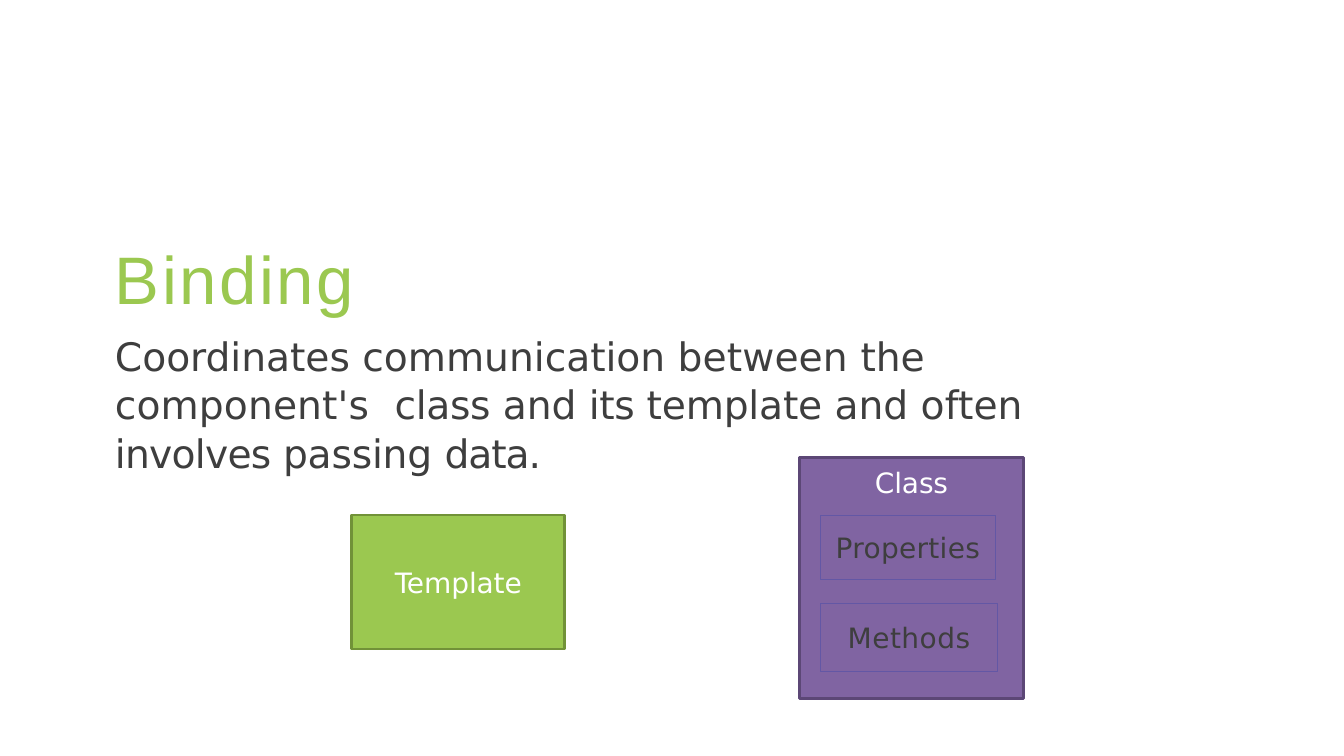
from pptx import Presentation
from pptx.dml.color import RGBColor
from pptx.enum.shapes import MSO_SHAPE as Preset
from pptx.enum.text import MSO_ANCHOR as Anchor, PP_ALIGN as Align
from pptx.util import Inches, Pt

# Grid of square cells: 133.3 columns by 75 rows
COLUMNS, ROWS = 133.3, 75
MARGIN = 11.4
GREEN, PURPLE, DARK, WHITE = "9BC850", "8064A2", "3E3E3E", "FFFFFF"
GREEN_EDGE, PURPLE_EDGE, MEMBER_EDGE = "719238", "5C4776", "6357A5"
BODY_FONT = "DejaVu Sans"

# Each piece of the definition with its letter spacing in points
DEFINITION = [
    ("Coordinates communication ", 0), ("between ", 0.1), ("the ", -0.1),
    ("component's  ", 0.1), ("class ", -0.2), ("and ", 0), ("its ", -0.3),
    ("template ", -0.1), ("and ", 0), ("often ", 0.1), ("involves ", -0.5),
    ("passing ", -0.1), ("data.", -0.7),
]


def cells(count):
    return Inches(count / 10)


def color(hex_code):
    return RGBColor.from_string(hex_code)


def write(frame, text, size=20, font=BODY_FONT, ink=DARK, spacing=0,
          align=Align.LEFT, anchor=Anchor.TOP, top=0, leading=None):
    """Fill a frame with a string, or with (string, letter spacing) pairs."""
    frame.word_wrap = True
    frame.vertical_anchor = anchor
    frame.margin_left = frame.margin_right = frame.margin_bottom = 0
    frame.margin_top = cells(top)
    paragraph = frame.paragraphs[0]
    paragraph.alignment = align
    paragraph.line_spacing = leading
    pieces = [(text, spacing)] if isinstance(text, str) else text
    for words, gap in pieces:
        run = paragraph.add_run()
        run.text = words
        run.font.size = Pt(size)
        run.font.name = font
        run.font.color.rgb = color(ink)
        run.font._element.set("spc", str(round(gap * 100)))


def add_text(slide, at, text, **style):
    area = slide.shapes.add_textbox(*map(cells, at))
    write(area.text_frame, text, **style)


def add_block(slide, at, text, edge, fill=None, weight=2.04, **style):
    block = slide.shapes.add_shape(Preset.RECTANGLE, *map(cells, at))
    block.shadow.inherit = False
    if fill:
        block.fill.solid()
        block.fill.fore_color.rgb = color(fill)
    else:
        block.fill.background()
    block.line.color.rgb = color(edge)
    block.line.width = Pt(weight)
    write(block.text_frame, text, align=Align.CENTER, **style)


def main():
    deck = Presentation()
    deck.slide_width, deck.slide_height = cells(COLUMNS), cells(ROWS)
    slide = deck.slides.add_slide(deck.slide_layouts[6])

    # Heading and definition
    add_text(slide, (MARGIN, 32.6, 106.2, 9.6), DEFINITION, size=28,
             top=0.2, leading=1.03)
    add_text(slide, (MARGIN, 22.9, 24.4, 8.3), "Binding", size=48,
             font="Arial", ink=GREEN, spacing=1.8, top=0.6)

    # Class and template
    add_block(slide, (79.3, 45.4, 22.2, 23.9), "Class", PURPLE_EDGE, PURPLE,
              ink=WHITE, spacing=-0.1, top=0.8)
    add_block(slide, (34.9, 51.1, 21.1, 13.3), "Template", GREEN_EDGE, GREEN,
              ink=WHITE, spacing=-0.1, anchor=Anchor.MIDDLE)

    # Members of the class
    for member, top, width, height, spacing in (
            ("Properties", 51.1, 17.3, 6.4, 0.2),
            ("Methods", 59.9, 17.5, 6.7, 0.3)):
        add_block(slide, (81.4, top, width, height), member, MEMBER_EDGE,
                  weight=0.72, spacing=spacing, anchor=Anchor.MIDDLE)

    deck.save("out.pptx")


if __name__ == "__main__":
    main()
